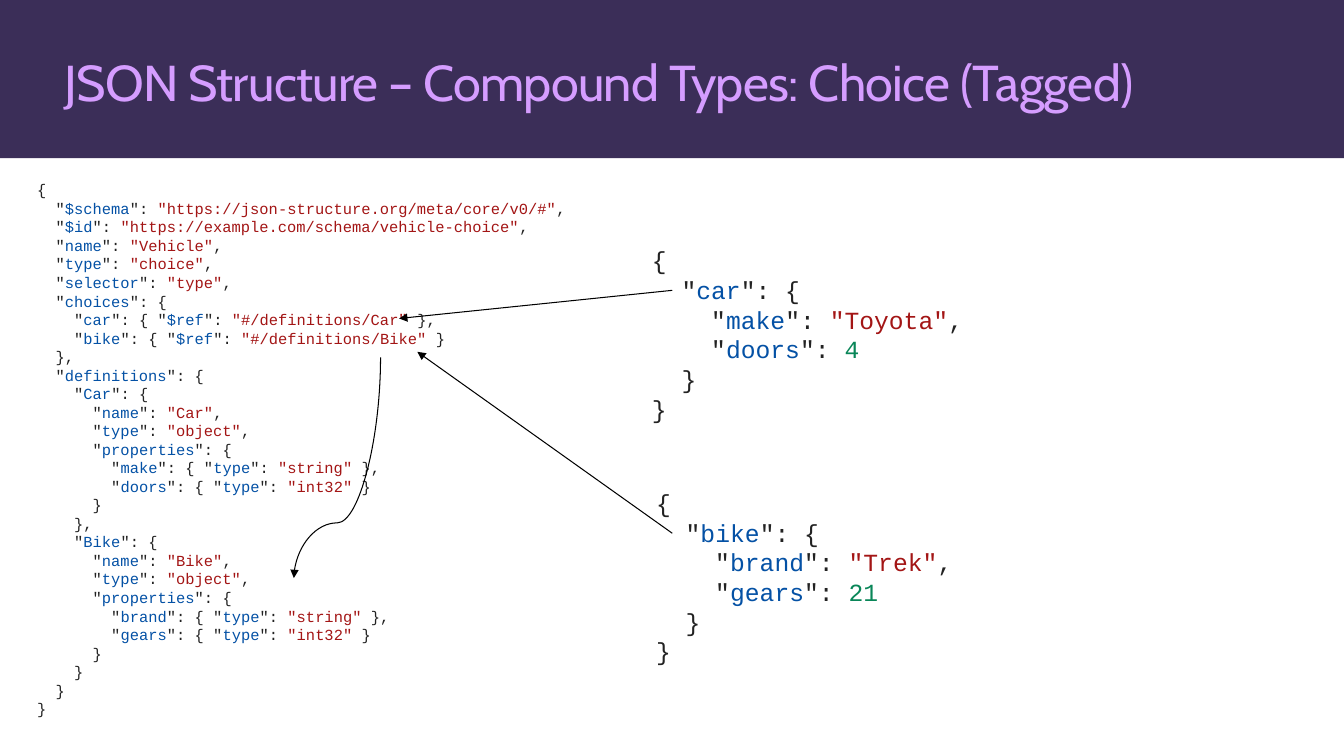
from pptx import Presentation
from pptx.dml.color import RGBColor as RGB
from pptx.enum.shapes import MSO_CONNECTOR as Link, MSO_SHAPE as Shape
from pptx.enum.text import MSO_ANCHOR as Anchor, MSO_AUTO_SIZE as Fit, PP_ALIGN as Align
from pptx.oxml.ns import qn
from pptx.util import Pt
from lxml.etree import SubElement as Sub

HUES = {"band": "3B2E58", "title": "D59DFF", "line": "000000", "mark": "222222",
        "key": "0451A5", "text": "A31515", "num": "098658"}

SCHEMA = """{
  "$schema": "https://json-structure.org/meta/core/v0/#",
  "$id": "https://example.com/schema/vehicle-choice",
  "name": "Vehicle",
  "type": "choice",
  "selector": "type",
  "choices": {
    "car": { "$ref": "#/definitions/Car" },
    "bike": { "$ref": "#/definitions/Bike" }
  },
  "definitions": {
    "Car": {
      "name": "Car",
      "type": "object",
      "properties": {
        "make": { "type": "string" },
        "doors": { "type": "int32" }
      }
    },
    "Bike": {
      "name": "Bike",
      "type": "object",
      "properties": {
        "brand": { "type": "string" },
        "gears": { "type": "int32" }
      }
    }
  }
}"""

CAR = """{
  "car": {
    "make": "Toyota",
    "doors": 4
  }
}"""

BIKE = """{
  "bike": {
    "brand": "Trek",
    "gears": 21
  }
}"""


def lex(line):
    """Yield (text, hue name) pairs for one line of JSON."""
    parts = line.split('"')
    for i, part in enumerate(parts):
        if i % 2:
            if parts[i + 1].startswith(":"):
                yield from (('"', "mark"), (part, "key"), ('"', "mark"))
            else:
                yield f'"{part}"', "text"
        elif part.strip(": ").isdigit():
            num = part.strip(": ")
            yield from ((part.removesuffix(num), "mark"), (num, "num"))
        elif part:
            yield part, "mark"


def apply(item, form):
    for name, value in form.items():
        setattr(item, name, value)


class Page:
    def __init__(self, deck):
        self.slide = deck.slides.add_slide(deck.slide_layouts[5])
        self.shapes = self.slide.shapes
        self.code_font = "Courier New"
        self.lead = 1.204

    def hue(self, name):
        return RGB.from_string(HUES[name])

    def band(self, wide, high):
        band = self.shapes.add_shape(Shape.RECTANGLE, 0, 0, Pt(wide), Pt(high))
        band.shadow.inherit = False
        band.fill.solid()
        band.fill.fore_color.rgb = self.hue("band")
        band.line.fill.background()
        self.shapes.title.element.addprevious(band.element)

    def title(self, text, left, top, wide, high):
        title = self.shapes.title
        apply(title, {"left": Pt(left), "top": Pt(top), "width": Pt(wide), "height": Pt(high)})
        frame = title.text_frame
        apply(frame, {"margin_left": 0, "margin_right": 0, "margin_top": 0, "margin_bottom": 0,
                      "vertical_anchor": Anchor.MIDDLE, "word_wrap": True, "auto_size": Fit.NONE})
        para = frame.paragraphs[0]
        para.alignment = Align.LEFT
        run = para.add_run()
        run.text = text
        apply(run.font, {"name": "Cabin", "size": Pt(36)})
        run.font.color.rgb = self.hue("title")
        run.font._element.set("spc", "-50")

    def code(self, text, size, left, top, wide, high):
        frame = self.shapes.add_textbox(Pt(left), Pt(top), Pt(wide), Pt(high)).text_frame
        apply(frame, {"word_wrap": True, "auto_size": Fit.SHAPE_TO_FIT_TEXT})
        for i, line in enumerate(text.splitlines()):
            para = frame.add_paragraph() if i else frame.paragraphs[0]
            para.line_spacing = Pt(size * self.lead)
            for word, kind in lex(line):
                run = para.add_run()
                run.text = word
                apply(run.font, {"name": self.code_font, "size": Pt(size)})
                run.font.color.rgb = self.hue(kind)

    def arrow(self, start, end, kind=Link.STRAIGHT):
        arrow = self.shapes.add_connector(kind, *map(Pt, start + end))
        arrow.line.width = Pt(0.75)
        arrow.line.color.rgb = self.hue("line")
        Sub(arrow.line._get_or_add_ln(), qn("a:tailEnd"), type="triangle")
        Sub(arrow.element.spPr, qn("a:effectLst"))
        return arrow

    def curve(self, start, end, bend):
        """Draw a curved arrow turned a quarter; bend is the share of its length at the turn."""
        props = self.arrow(start, end, Link.CURVE).element.spPr
        props.find(qn("a:xfrm")).set("rot", "5400000")
        guides = props.find(qn("a:prstGeom")).get_or_add_avLst()
        Sub(guides, qn("a:gd"), name="adj1", fmla=f"val {round(bend * 100000)}")


def main():
    deck = Presentation()
    apply(deck, {"slide_width": Pt(960), "slide_height": Pt(540)})
    page = Page(deck)
    page.band(960, 113)
    page.title("JSON Structure – Compound Types: Choice (Tagged)", 46, 36, 868, 44)
    page.code(SCHEMA, 11, 19.4, 125.3, 638, 394)
    page.code(CAR, 17.6, 458.6, 171.4, 265, 135.4)
    page.code(BIKE, 17.6, 461.5, 344.9, 243.4, 135.4)
    page.arrow((480.2, 207.4), (285.1, 227.5))
    page.arrow((480.2, 380.9), (298.1, 251.3))
    page.curve((162, 303.1), (319.7, 365), 0.75)
    deck.save("out.pptx")


if __name__ == "__main__":
    main()
